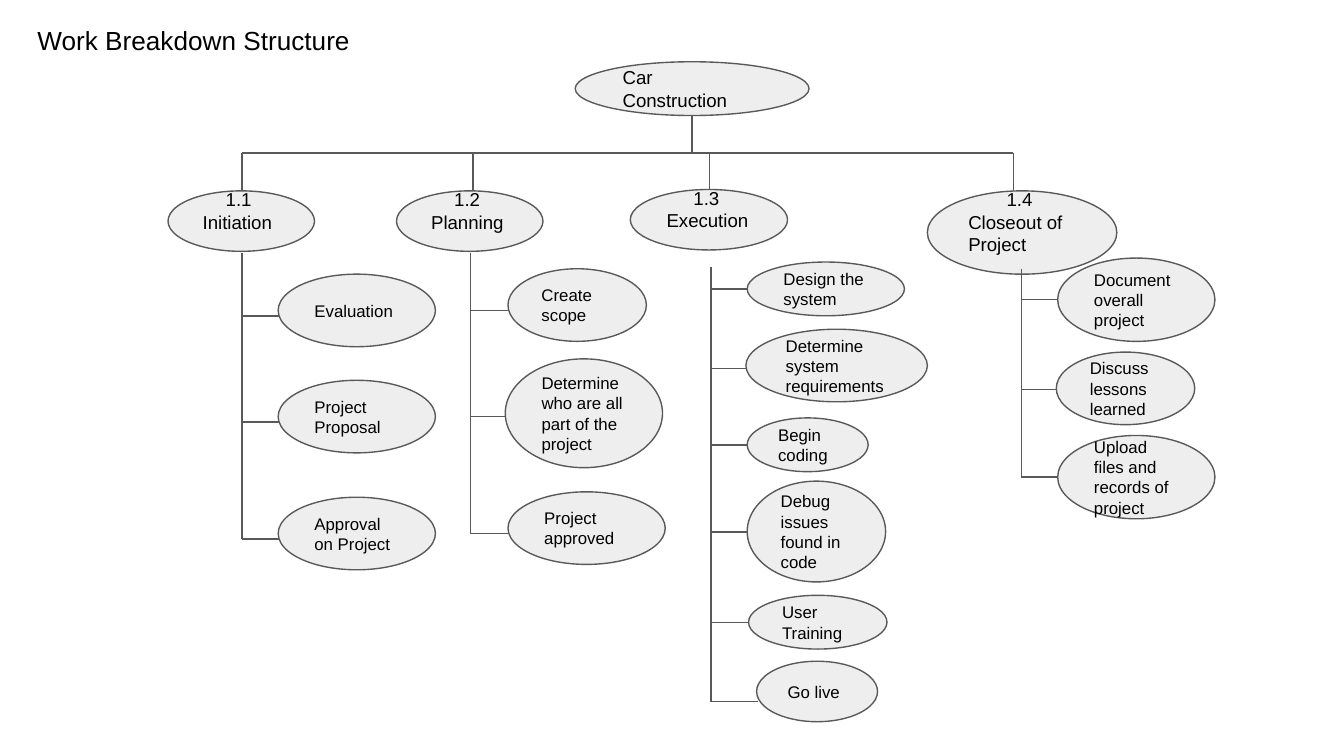
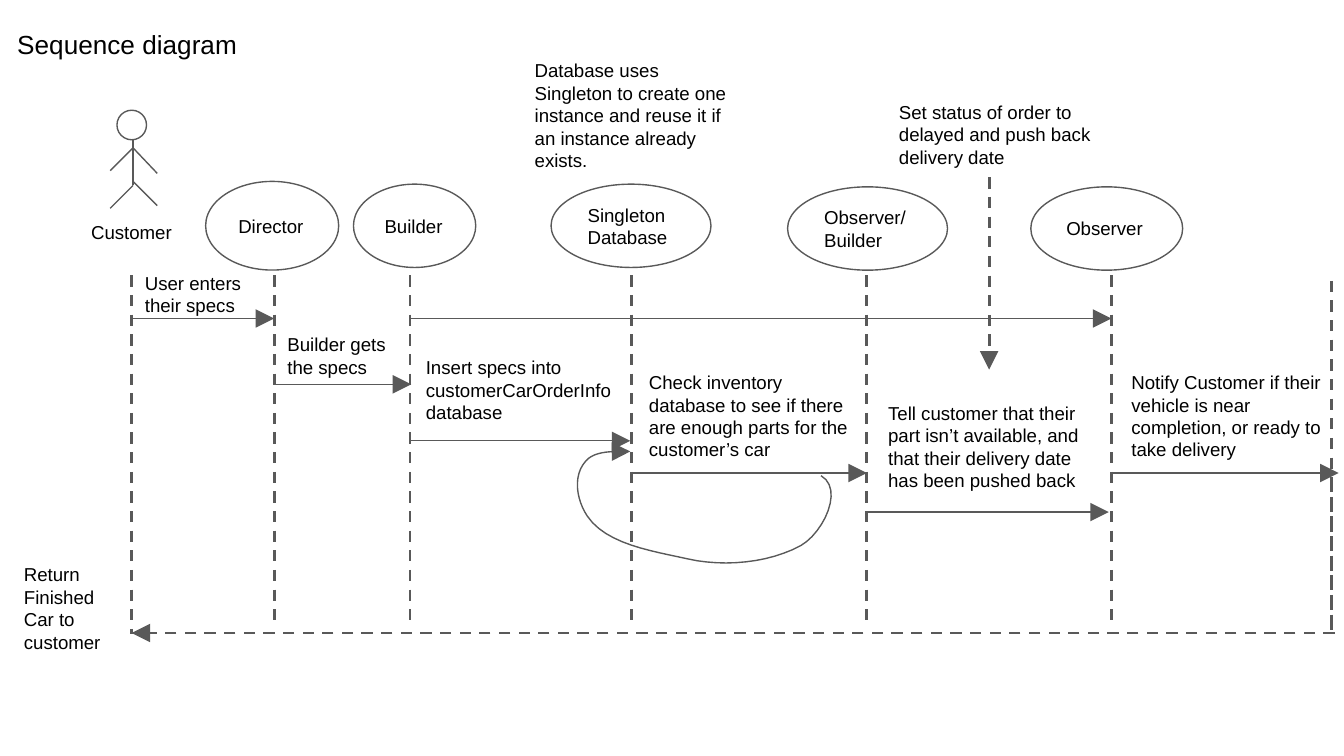
from dataclasses import dataclass

from lxml import etree
from pptx import Presentation
from pptx.dml.color import RGBColor
from pptx.enum import dml, shapes, text
from pptx.oxml import ns
from pptx.util import Inches, Pt


@dataclass(frozen=True)
class Theme:
    font: str = "Arial"
    ink: str = "000000"
    line: str = "595959"
    node: str = "EEEEEE"
    title: int = 14
    body: int = 10
    small: int = 9
    thin: float = 0.75
    thick: float = 1.5
    inset: float = 0.1
    lift: float = 0.08


THEME = Theme()

WBS_TITLE = ("Work Breakdown Structure", (0.18, 0.08, 2.77, 0.54))
ROOT = ("Car Construction", (4.28, 0.46, 1.74, 0.4))
BUS_Y, BRANCH_Y = 1.14, 1.42
BRANCHES = [
    {
        "label": ["1.1 ", "Initiation"], "box": (1.25, 1.42, 1.09, 0.45),
        "drop": 1.8, "trunk": (1.8, 1.88),
        "tasks": [
            ("Evaluation", (2.07, 2.04, 1.17, 0.54), 2.35),
            ("Project Proposal", (2.07, 2.83, 1.17, 0.54), 3.14),
            ("Approval on Project", (2.07, 3.7, 1.17, 0.54), 4.01),
        ],
    },
    {
        "label": ["1.2 ", "Planning"], "box": (2.95, 1.42, 1.09, 0.45),
        "drop": 3.52, "trunk": (3.5, 1.88),
        "tasks": [
            ("Create scope", (3.78, 2, 1.03, 0.54), 2.31),
            ("Determine who are all part of the project", (3.76, 2.67, 1.17, 0.81), 3.1),
            ("Project approved", (3.78, 3.66, 1.17, 0.54), 3.97),
        ],
    },
    {
        "label": ["1.3 ", "Execution"], "box": (4.69, 1.41, 1.17, 0.45),
        "drop": 5.28, "trunk": (5.29, 1.99),
        "tasks": [
            ("Design the system", (5.56, 1.95, 1.17, 0.4), 2.15),
            ("Determine system requirements", (5.55, 2.45, 1.35, 0.54), 2.74),
            ("Begin coding", (5.56, 3.11, 0.9, 0.4), 3.31),
            ("Debug issues found in code", (5.56, 3.58, 1.03, 0.75), 3.96),
            ("User Training", (5.57, 4.43, 1.03, 0.4), 4.63),
            ("Go live", (5.63, 4.92, 0.9, 0.45), 5.22),
        ],
    },
    {
        "label": ["1.4 ", "Closeout of Project"], "box": (6.9, 1.42, 1.41, 0.62),
        "drop": 7.54, "trunk": (7.6, 2),
        "tasks": [
            ("Document overall project", (7.87, 1.92, 1.17, 0.62), 2.23),
            ("Discuss lessons learned", (7.86, 2.62, 1.03, 0.54), 2.9),
            ("Upload files and records of project", (7.87, 3.24, 1.17, 0.62), 3.55),
        ],
    },
]

SEQUENCE_TITLE = ("Sequence diagram", (0.03, 0.11, 1.9, 0.39))
HEAD = (0.87, 0.82, 0.22, 0.22)
LIMBS = [
    ((0.99, 1.04), (0.99, 1.38)),
    ((0.99, 1.38), (0.82, 1.55)),
    ((0.99, 1.35), (1.17, 1.53)),
    ((0.99, 1.1), (0.82, 1.27)),
    ((0.99, 1.1), (1.17, 1.29)),
]
PARTICIPANTS = [
    ("Director", (1.53, 1.35, 0.99, 0.66)),
    ("Builder", (2.63, 1.37, 0.91, 0.62)),
    ("Singleton Database", (4.1, 1.37, 1.19, 0.62)),
    ("Observer/Builder", (5.86, 1.39, 1.19, 0.62)),
    ("Observer", (7.67, 1.39, 1.13, 0.62)),
]
LIFELINES = [
    (0.98, 2.05, 4.72),
    *((x, 2.05, 4.64) for x in (2.04, 3.05, 4.7, 6.45, 8.27)),
    (9.91, 3.58, 4.7),
    (9.91, 2.09, 4.68),
]
MESSAGES = [
    (0.98, 2.04, 2.37),
    (3.06, 8.27, 2.37),
    (2.04, 3.06, 2.86),
    (3.05, 4.69, 3.28),
    (4.7, 6.45, 3.52),
    (6.45, 8.25, 3.81),
    (8.28, 9.96, 3.52),
]
DASHED_ARROWS = [
    ((9.93, 4.71), (0.98, 4.71)),
    ((7.36, 1.32), (7.36, 2.75)),
]
LOOP_START = (6.11, 3.54)
LOOP_CURVES = [
    ((6.28, 3.64), (6.13, 3.96), (5.96, 4.06)),
    ((5.72, 4.19), (5.39, 4.22), (5.12, 4.16)),
    ((4.85, 4.1), (4.51, 4.05), (4.37, 3.84)),
    ((4.29, 3.72), (4.26, 3.54), (4.36, 3.43)),
    ((4.43, 3.35), (4.58, 3.36), (4.69, 3.36)),
]
NOTES = [
    (["Customer"], (0.58, 1.56, 0.83, 0.33)),
    (["User enters ", "their specs"], (0.98, 1.92, 1.06, 0.45)),
    (["Builder gets the specs"], (2.04, 2.38, 0.99, 0.45)),
    (["Insert specs into customerCarOrderInfo database"], (3.07, 2.55, 1.65, 0.62)),
    (["Check inventory database to see if there are enough parts for the customer’s car"],
     (4.73, 2.66, 1.75, 0.78)),
    (["Tell customer that their part isn’t available, and that their delivery date "
      "has been pushed back"], (6.51, 2.89, 1.69, 0.78)),
    (["Notify Customer if their vehicle is near completion, or ready to take delivery"],
     (8.32, 2.66, 1.65, 0.78)),
    (["Return Finished Car to customer"], (0.08, 4.09, 0.83, 0.83)),
    (["Set status of order to delayed and push back delivery date"],
     (6.59, 0.65, 1.65, 0.66)),
    (["Database uses Singleton to create one instance and reuse it if an instance "
      "already exists."], (3.88, 0.34, 1.65, 0.98)),
]


def write_text(shape, lines, size=THEME.body, middle=False, center_first=False, lift=0):
    frame = shape.text_frame
    frame.word_wrap = True
    frame.margin_left = frame.margin_right = Inches(THEME.inset)
    frame.margin_top = Inches(THEME.inset - lift)
    frame.margin_bottom = Inches(THEME.inset + lift)
    frame.vertical_anchor = text.MSO_ANCHOR.MIDDLE if middle else text.MSO_ANCHOR.TOP
    for index, line in enumerate(lines):
        paragraph = frame.add_paragraph() if index else frame.paragraphs[0]
        centered = center_first and index == 0
        paragraph.alignment = text.PP_ALIGN.CENTER if centered else text.PP_ALIGN.LEFT
        run = paragraph.add_run()
        run.text = line
        run.font.name = THEME.font
        run.font.size = Pt(size)
        run.font.color.rgb = RGBColor.from_string(THEME.ink)


def style_line(line, width=THEME.thin, dashed=False, arrow=False):
    line.color.rgb = RGBColor.from_string(THEME.line)
    line.width = Pt(width)
    if dashed:
        line.dash_style = dml.MSO_LINE.DASH
    if arrow:
        properties = line.color._xFill.getparent()
        etree.SubElement(properties, ns.qn("a:tailEnd"), type="triangle", w="lg", len="lg")


def add_textbox(slide, lines, box, **text_format):
    write_text(slide.shapes.add_textbox(*map(Inches, box)), lines, **text_format)


def add_ellipse(container, box, lines=(), fill=None, **text_format):
    shape = container.add_shape(shapes.MSO_SHAPE.OVAL, *map(Inches, box))
    shape.shadow.inherit = False
    if fill:
        shape.fill.solid()
        shape.fill.fore_color.rgb = RGBColor.from_string(fill)
    else:
        shape.fill.background()
    style_line(shape.line)
    if lines:
        write_text(shape, lines, middle=True, **text_format)


def add_line(container, start, end, **line_format):
    connector = container.add_connector(
        shapes.MSO_CONNECTOR.STRAIGHT, *map(Inches, (*start, *end)))
    style_line(connector.line, **line_format)
    etree.SubElement(connector._element.spPr, ns.qn("a:effectLst"))


def bezier_points(start, curves, steps=12):
    points = []
    for first, second, end in curves:
        for step in range(1, steps + 1):
            t = step / steps
            weights = ((1 - t) ** 3, 3 * t * (1 - t) ** 2, 3 * t * t * (1 - t), t ** 3)
            controls = (start, first, second, end)
            points.append(tuple(
                sum(weight * point[axis] for weight, point in zip(weights, controls))
                for axis in (0, 1)))
        start = end
    return points


def add_loop(slide):
    builder = slide.shapes.build_freeform(*map(Inches, LOOP_START))
    builder.add_line_segments(
        [tuple(map(Inches, point)) for point in bezier_points(LOOP_START, LOOP_CURVES)],
        close=False)
    shape = builder.convert_to_shape()
    shape.shadow.inherit = False
    shape.fill.background()
    style_line(shape.line, arrow=True)


def add_slide(presentation, title):
    slide = presentation.slides.add_slide(presentation.slide_layouts[6])
    label, box = title
    add_textbox(slide, [label], box, size=THEME.title)
    return slide


def build_breakdown(presentation):
    slide = add_slide(presentation, WBS_TITLE)
    label, box = ROOT
    left, top, width, height = box
    center = left + width / 2
    add_ellipse(slide.shapes, box, [label], fill=THEME.node)
    add_line(slide.shapes, (BRANCHES[-1]["drop"], BUS_Y), (BRANCHES[0]["drop"], BUS_Y))
    add_line(slide.shapes, (center, top + height), (center, BUS_Y))
    for branch in BRANCHES:
        drop, (trunk, trunk_top) = branch["drop"], branch["trunk"]
        tasks = branch["tasks"]
        add_line(slide.shapes, (drop, BUS_Y), (drop, BRANCH_Y))
        add_ellipse(slide.shapes, branch["box"], branch["label"], fill=THEME.node,
                    center_first=True, lift=THEME.lift)
        add_line(slide.shapes, (trunk, trunk_top), (trunk, tasks[-1][2]))
        for task, task_box, y in tasks:
            add_line(slide.shapes, (trunk, y), (task_box[0] + 0.01, y))
            add_ellipse(slide.shapes, task_box, [task], fill=THEME.node, size=THEME.small)


def build_sequence(presentation):
    slide = add_slide(presentation, SEQUENCE_TITLE)
    customer = slide.shapes.add_group_shape().shapes
    add_ellipse(customer, HEAD)
    for start, end in LIMBS:
        add_line(customer, start, end)
    for x, top, bottom in LIFELINES:
        add_line(slide.shapes, (x, top), (x, bottom), width=THEME.thick, dashed=True)
    for start, end, y in MESSAGES:
        add_line(slide.shapes, (start, y), (end, y), arrow=True)
    for start, end in DASHED_ARROWS:
        add_line(slide.shapes, start, end, width=THEME.thick, dashed=True, arrow=True)
    add_loop(slide)
    for label, box in PARTICIPANTS:
        add_ellipse(slide.shapes, box, [label])
    for lines, box in NOTES:
        add_textbox(slide, lines, box)


presentation = Presentation()
presentation.slide_width = Inches(10)
presentation.slide_height = Inches(10) * 9 // 16
build_breakdown(presentation)
build_sequence(presentation)
presentation.save("out.pptx")
